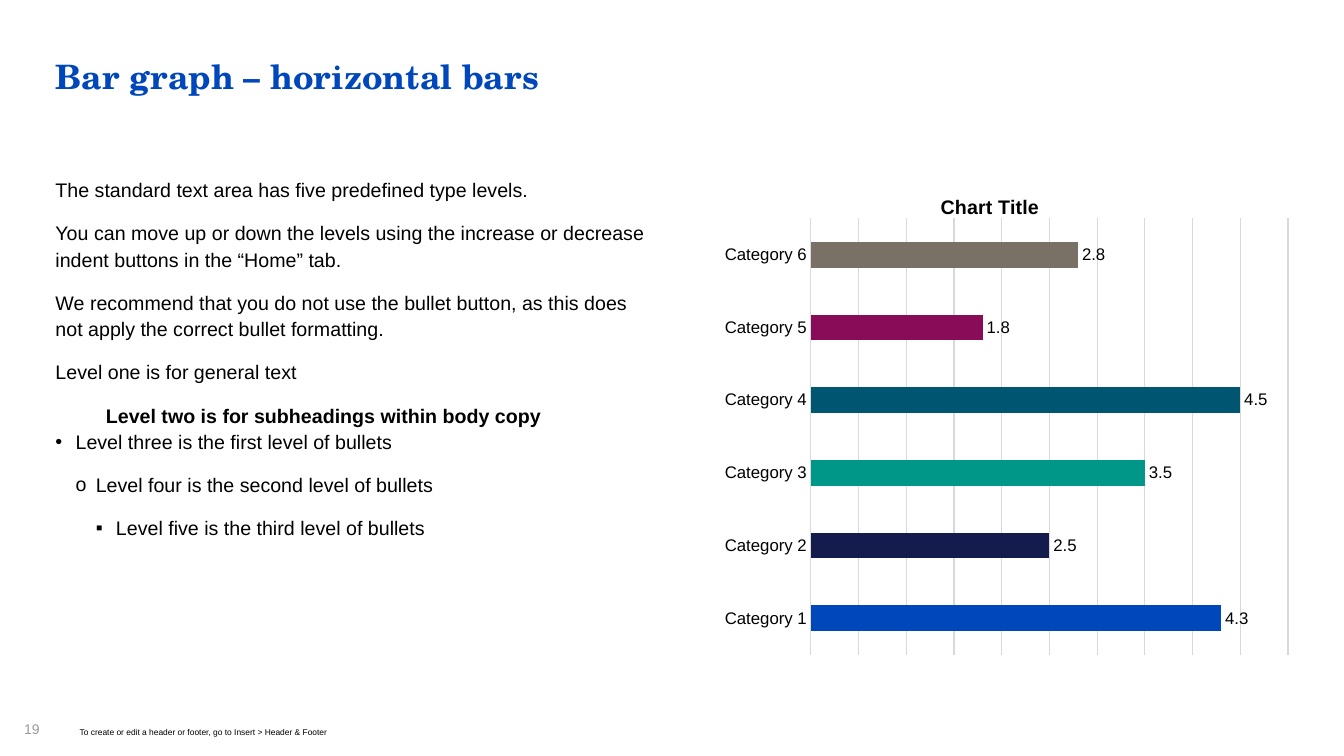
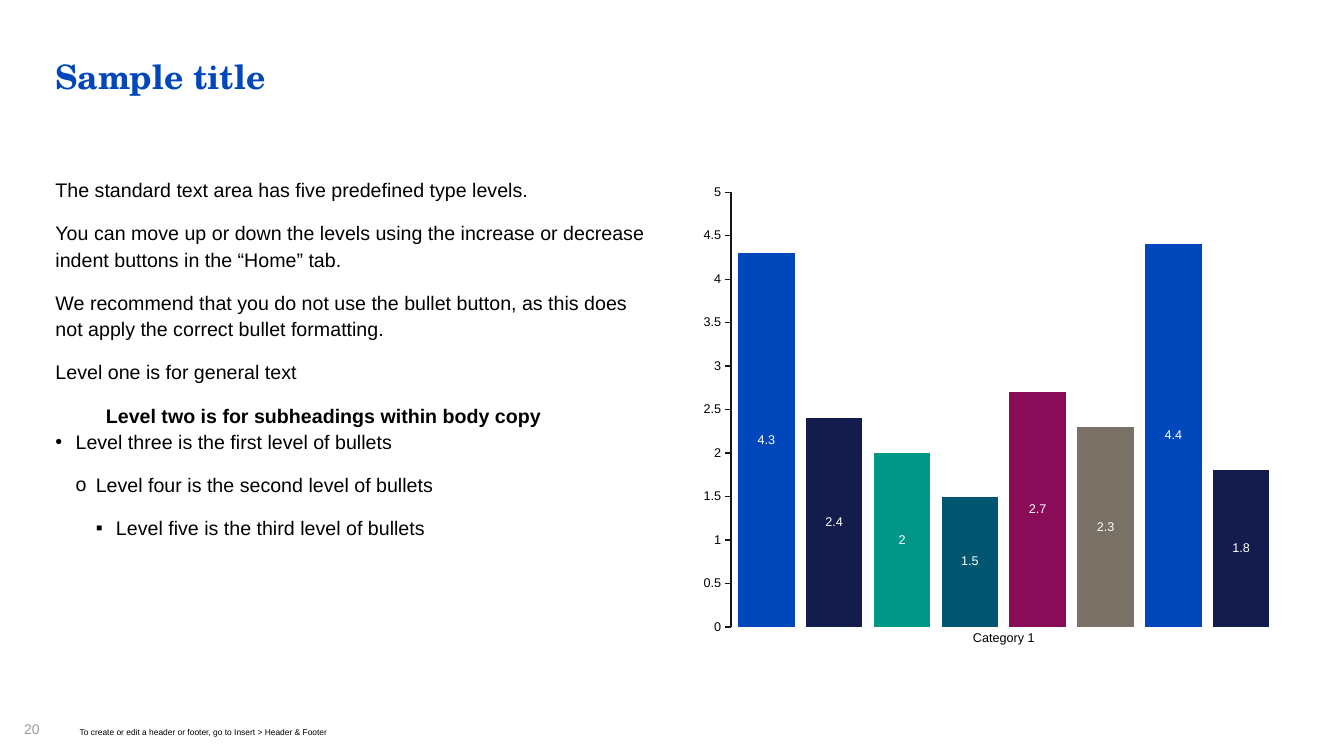
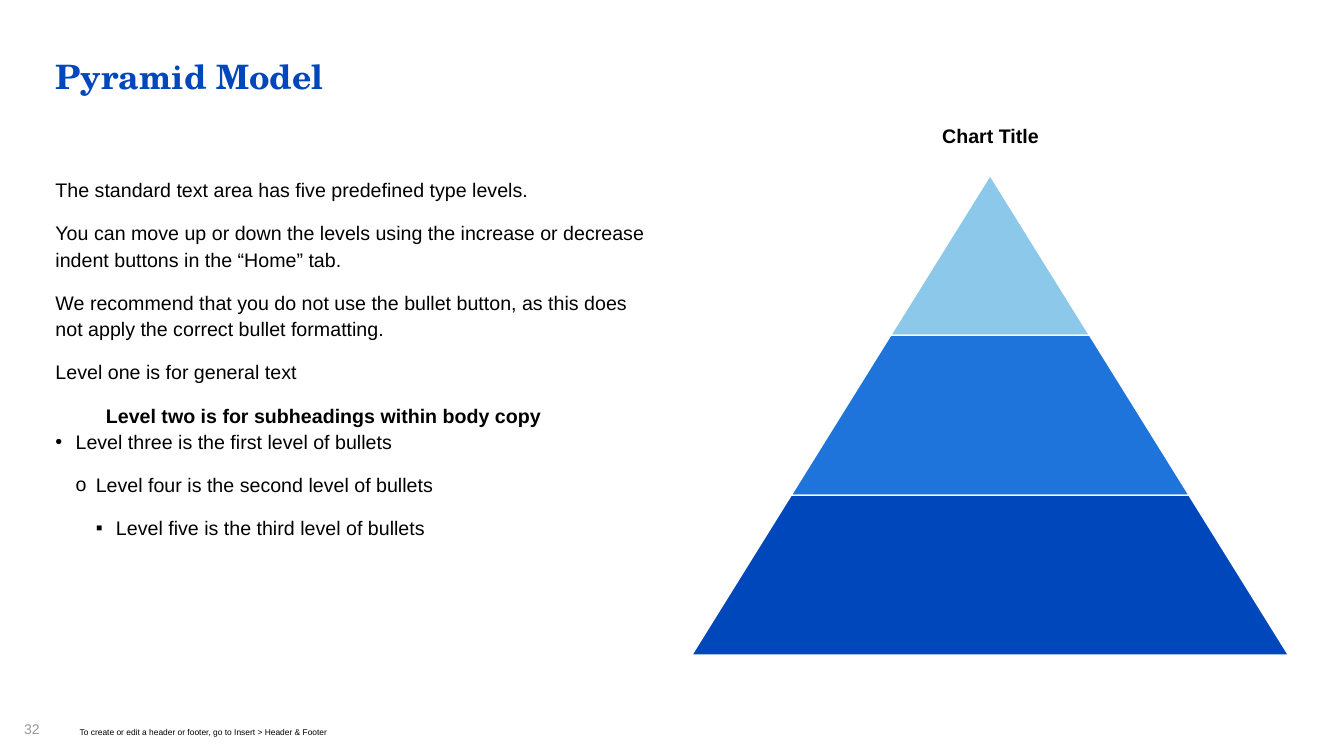
"""Build three slides that pair standard body text with a chart or a pyramid."""
import collections
import dataclasses

import lxml.etree
import pptx
import pptx.chart.data
import pptx.dml.color
import pptx.enum.chart
import pptx.enum.shapes
import pptx.enum.text
import pptx.oxml.ns
import pptx.util

EMU_PER_PX = 9144
TITLE_ONLY_LAYOUT = 5

Box = collections.namedtuple("Box", "left top width height")
Style = collections.namedtuple("Style", "size color bold font", defaults=(False, "Arial"))


@dataclasses.dataclass(frozen=True)
class Theme:
    """Hold the colours and text styles of the deck."""
    blue: str = "0047BB"
    white: str = "FFFFFF"
    axis: str = "171717"
    grid: str = "D9D9D9"
    series: tuple = ("0047BB", "141B4D", "009788", "005670", "890C58", "797166")
    tiers: tuple = ("8CC8E9", "1F74DB", "0047BB")
    title: Style = Style(24, "0047BB", True, "TeX Gyre Schola")
    body: Style = Style(14, "000000")
    heading: Style = Style(14, "000000", True)
    chart: Style = Style(10, "000000")
    bar_label: Style = Style(12, "000000")
    column_axis: Style = Style(9, "000000")
    column_label: Style = Style(9, "FFFFFF")
    number: Style = Style(10, "999999")
    footer: Style = Style(6, "000000")


THEME = Theme()
SLIDE_SIZE = (1333, 750)
TITLE_BOX = Box(55, 60, 1223, 102)
BODY_BOX = Box(55, 174, 592, 476)
FIGURE_BOX = Box(686, 174, 592, 476)
NUMBER_BOX = Box(24, 717, 26, 33)
FOOTER_BOX = Box(79, 722, 482, 28)
BULLET_STEP = 20
FOOTER_TEXT = "To create or edit a header or footer, go to Insert > Header & Footer"
FIGURE_TITLE = "Chart Title"
BODY_LINES = (
    (0, "The standard text area has five predefined type levels."),
    (0, "You can move up or down the levels using the increase or decrease indent buttons in the “Home” tab."),
    (0, "We recommend that you do not use the bullet button, as this does not apply the correct bullet formatting."),
    (0, "Level one is for general text"),
    (1, "Level two is for subheadings within body copy"),
    (2, "Level three is the first level of bullets"),
    (3, "Level four is the second level of bullets"),
    (4, "Level five is the third level of bullets"),
)
BULLETS = {2: "•", 3: "o", 4: "▪"}


def px(length):
    """Turn px into EMU."""
    return pptx.util.Emu(round(length * EMU_PER_PX))


def place(box):
    """Turn a box in px into EMU lengths."""
    return [px(length) for length in box]


def rgb(color):
    """Turn a hex string into a colour."""
    return pptx.dml.color.RGBColor.from_string(color)


def style_font(font, style):
    """Apply a text style to a font."""
    font.name = style.font
    font.size = pptx.util.Pt(style.size)
    font.bold = style.bold
    font.color.rgb = rgb(style.color)


def write(paragraph, text, style):
    """Add one styled run to a paragraph."""
    run = paragraph.add_run()
    run.text = text
    style_font(run.font, style)


def prepare_frame(text_frame):
    """Make a frame wrap at its edges, with text from the top."""
    text_frame.margin_left = text_frame.margin_right = 0
    text_frame.margin_top = text_frame.margin_bottom = 0
    text_frame.word_wrap = True
    text_frame.auto_size = pptx.enum.text.MSO_AUTO_SIZE.NONE
    text_frame.vertical_anchor = pptx.enum.text.MSO_ANCHOR.TOP


def write_line(text_frame, text, style):
    """Write a single tight line, aligned left."""
    prepare_frame(text_frame)
    paragraph = text_frame.paragraphs[0]
    paragraph.alignment = pptx.enum.text.PP_ALIGN.LEFT
    paragraph.line_spacing = 0.9
    write(paragraph, text, style)


def add_bullet(paragraph, level):
    """Give a paragraph the hanging bullet of its level."""
    properties = paragraph._p.get_or_add_pPr()
    properties.set("marL", str(px(BULLET_STEP * (level - 1))))
    properties.set("indent", str(px(-BULLET_STEP)))
    for tag, attribute, value in (("a:buFont", "typeface", "Arial"),
                                  ("a:buChar", "char", BULLETS[level])):
        element = lxml.etree.SubElement(properties, pptx.oxml.ns.qn(tag))
        element.set(attribute, value)


def add_body(slide, box):
    """Add the text that shows the five type levels."""
    text_frame = slide.shapes.add_textbox(*place(box)).text_frame
    prepare_frame(text_frame)
    for index, (level, text) in enumerate(BODY_LINES):
        paragraph = text_frame.add_paragraph() if index else text_frame.paragraphs[0]
        paragraph.level = level
        paragraph.line_spacing = 1.12
        paragraph.space_after = pptx.util.Pt(0 if level == 1 else 12)
        if level in BULLETS:
            add_bullet(paragraph, level)
        write(paragraph, text, THEME.heading if level == 1 else THEME.body)


def add_base_slide(presentation, title, number):
    """Add a slide with title, body text, number and footer."""
    slide = presentation.slides.add_slide(presentation.slide_layouts[TITLE_ONLY_LAYOUT])
    heading = slide.shapes.title
    heading.left, heading.top, heading.width, heading.height = place(TITLE_BOX)
    write_line(heading.text_frame, title, THEME.title)
    add_body(slide, BODY_BOX)
    for box, text, style in ((NUMBER_BOX, str(number), THEME.number),
                             (FOOTER_BOX, FOOTER_TEXT, THEME.footer)):
        write_line(slide.shapes.add_textbox(*place(box)).text_frame, text, style)
    return slide


def add_chart(slide, box, chart_type, categories, series_values, axis_style):
    """Add a plain chart with a scale from 0 to 5 and return it."""
    data = pptx.chart.data.CategoryChartData()
    data.categories = categories
    for index, values in enumerate(series_values, 1):
        data.add_series(f"Series {index}", values)
    chart = slide.shapes.add_chart(chart_type, *place(box), data).chart
    style_font(chart.font, THEME.chart)
    chart.has_legend = False
    chart.has_title = False
    chart.plots[0].vary_by_categories = False
    for axis in (chart.category_axis, chart.value_axis):
        axis.major_tick_mark = axis.minor_tick_mark = pptx.enum.chart.XL_TICK_MARK.NONE
        axis.has_major_gridlines = False
        axis.format.line.fill.background()
        style_font(axis.tick_labels.font, axis_style)
    chart.value_axis.minimum_scale = 0
    chart.value_axis.maximum_scale = 5
    chart.value_axis.major_unit = 0.5
    return chart


def fill_solid(part, color):
    """Fill a series, point or shape format with one colour."""
    part.fill.solid()
    part.fill.fore_color.rgb = rgb(color)


def draw_line(line, color, width):
    """Set the colour and width of a line."""
    line.color.rgb = rgb(color)
    line.width = pptx.util.Pt(width)


def label_values(series, position, style):
    """Show the values of a series."""
    labels = series.data_labels
    labels.show_value = True
    labels.position = position
    style_font(labels.font, style)


def set_inner_plot(chart, left, top, width, height):
    """Fix the inner plot area as fractions of the chart."""
    plot_area = chart._chartSpace.chart.plotArea
    for element in plot_area.findall(pptx.oxml.ns.qn("c:layout")):
        plot_area.remove(element)
    layout = lxml.etree.Element(pptx.oxml.ns.qn("c:layout"))
    manual = lxml.etree.SubElement(layout, pptx.oxml.ns.qn("c:manualLayout"))
    settings = (("layoutTarget", "inner"), ("xMode", "edge"), ("yMode", "edge"),
                ("x", left), ("y", top), ("w", width), ("h", height))
    for name, value in settings:
        lxml.etree.SubElement(manual, pptx.oxml.ns.qn(f"c:{name}")).set("val", str(value))
    plot_area.insert(0, layout)


def add_bar_chart(slide, box):
    """Add the horizontal bars, one colour for each category."""
    categories = [f"Category {number}" for number in range(1, 7)]
    chart = add_chart(slide, box, pptx.enum.chart.XL_CHART_TYPE.BAR_CLUSTERED,
                      categories, [(4.3, 2.5, 3.5, 4.5, 1.8, 2.8)], THEME.bar_label)
    chart.has_title = True
    chart.chart_title.include_in_layout = False
    write(chart.chart_title.text_frame.paragraphs[0], FIGURE_TITLE, THEME.heading)
    chart.plots[0].gap_width = 182
    chart.value_axis.tick_label_position = pptx.enum.chart.XL_TICK_LABEL_POSITION.NONE
    chart.value_axis.has_major_gridlines = True
    draw_line(chart.value_axis.major_gridlines.format.line, THEME.grid, 0.75)
    series = chart.plots[0].series[0]
    fill_solid(series.format, THEME.blue)
    for index, color in enumerate(THEME.series):
        fill_solid(series.points[index].format, color)
    label_values(series, pptx.enum.chart.XL_LABEL_POSITION.OUTSIDE_END, THEME.bar_label)
    set_inner_plot(chart, 0.2, 0.09, 0.8, 0.91)


def add_column_chart(slide, box):
    """Add the columns, one series for each colour."""
    values = (4.3, 2.4, 2, 1.5, 2.7, 2.3, 4.4, 1.8)
    chart = add_chart(slide, box, pptx.enum.chart.XL_CHART_TYPE.COLUMN_CLUSTERED,
                      ["Category 1"], [(value,) for value in values], THEME.column_axis)
    chart.plots[0].gap_width = 25
    chart.plots[0].overlap = -20
    chart.value_axis.major_tick_mark = pptx.enum.chart.XL_TICK_MARK.OUTSIDE
    draw_line(chart.value_axis.format.line, THEME.axis, 1)
    for index, series in enumerate(chart.plots[0].series):
        fill_solid(series.format, THEME.series[index % len(THEME.series)])
        label_values(series, pptx.enum.chart.XL_LABEL_POSITION.CENTER, THEME.column_label)


def add_pyramid(slide, box):
    """Add a titled pyramid of equally high tiers."""
    caption = slide.shapes.add_textbox(*place(Box(box.left + 238, box.top - 56, 117, 34)))
    caption.text_frame.word_wrap = False
    paragraph = caption.text_frame.paragraphs[0]
    paragraph.alignment = pptx.enum.text.PP_ALIGN.CENTER
    write(paragraph, FIGURE_TITLE, THEME.heading)
    group = slide.shapes.add_group_shape()
    count = len(THEME.tiers)
    height = box.height / count
    for index, color in enumerate(THEME.tiers):
        width = box.width * (index + 1) / count
        tier_box = Box(box.left + (box.width - width) / 2, box.top + index * height, width, height)
        tier = group.shapes.add_shape(pptx.enum.shapes.MSO_SHAPE.TRAPEZOID, *place(tier_box))
        tier.adjustments[0] = box.width / (2 * count) / height
        tier.shadow.inherit = False
        fill_solid(tier, color)
        draw_line(tier.line, THEME.white, 1)


def main():
    """Build and save the deck."""
    presentation = pptx.Presentation()
    presentation.slide_width, presentation.slide_height = place(SLIDE_SIZE)
    for title, number, add_figure in (
        ("Bar graph – horizontal bars", 19, add_bar_chart),
        ("Sample title", 20, add_column_chart),
        ("Pyramid Model", 32, add_pyramid),
    ):
        add_figure(add_base_slide(presentation, title, number), FIGURE_BOX)
    presentation.save("out.pptx")


if __name__ == "__main__":
    main()
